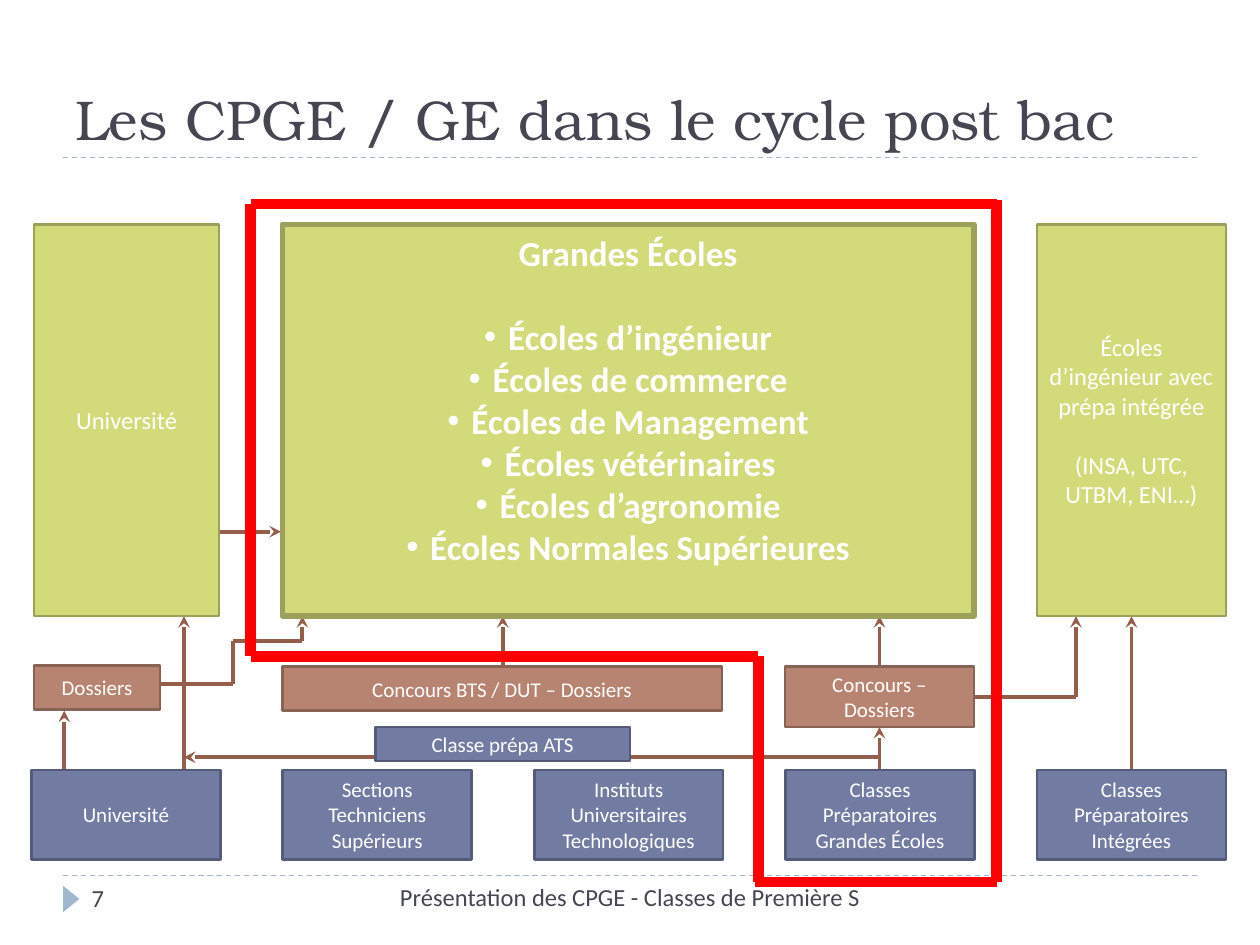
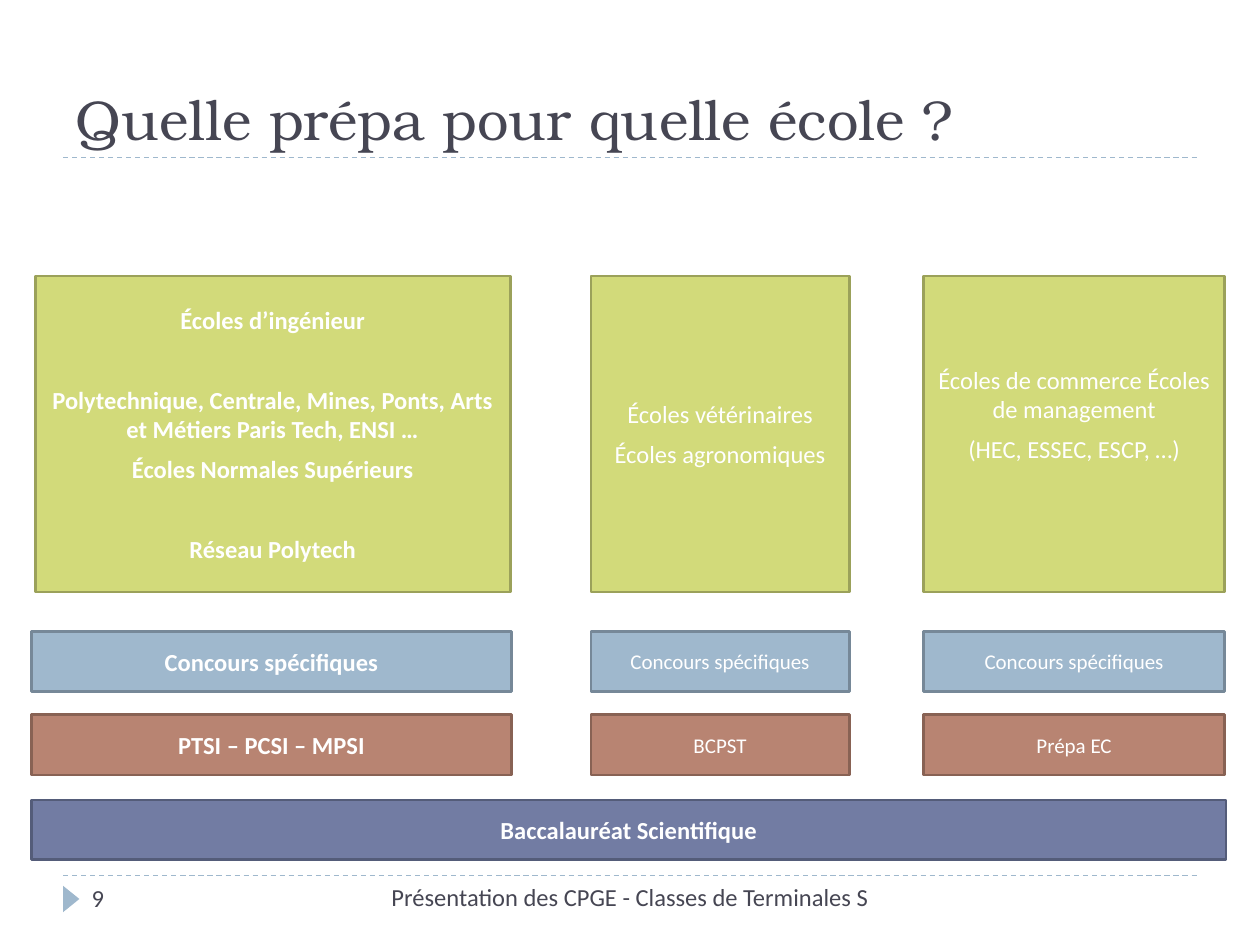
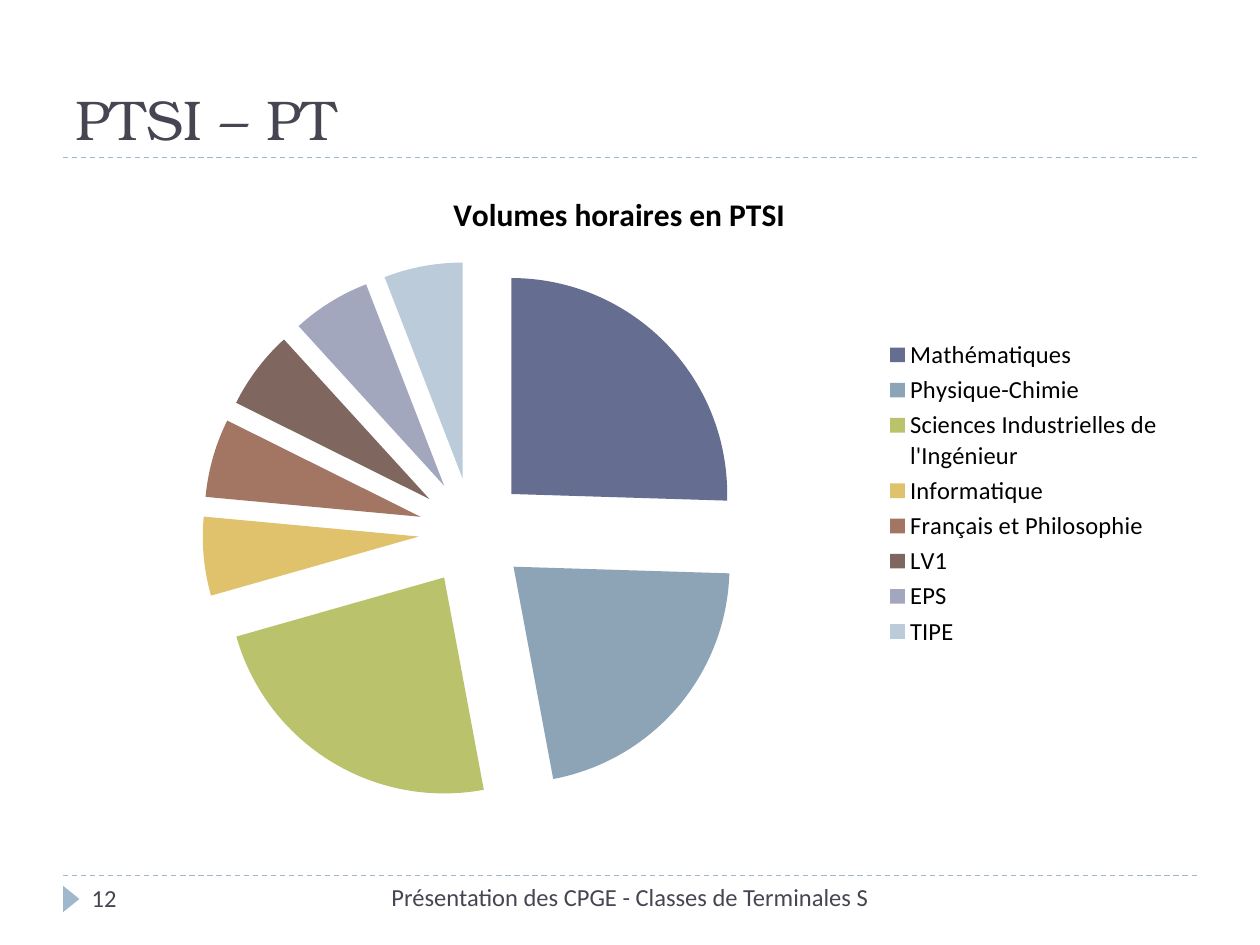
from lxml import etree
from pptx import Presentation
from pptx import util as u
from pptx.chart import data
from pptx.dml.color import RGBColor
from pptx.enum import chart as charts, dml, shapes, text
from pptx.oxml import ns

COLORS = {
    "ink": "464653", "white": "FFFFFF", "black": "000000", "red": "FF0000",
    "indigo": "727CA3", "indigo_edge": "545C79",
    "brick": "B88472", "brick_edge": "886254",
    "lime": "D2DA7A", "lime_edge": "9BA15A",
    "sky": "9FB8CD", "sky_edge": "768898",
    "arrow": "955E4B",
}
SLICES = ["656D90", "8DA3B6", "BAC26C", "DFC26B", "A37563", "7F665E", "A2A7BD", "BCCBDA"]
BODY, HEADING = "Calibri", "TeX Gyre Bonum"
ALIGN, ANCHOR = text.PP_ALIGN, text.MSO_ANCHOR
TERMINALES = "Présentation des CPGE - Classes de Terminales S"


def rgb(name):
    return RGBColor.from_string(COLORS[name])


def apply(target, **values):
    for key, value in values.items():
        setattr(target, key, value)


def set_font(font, size, color, name=BODY, bold=False):
    apply(font, size=u.Pt(size), name=name, bold=bold)
    font.color.rgb = rgb(color)


class Deck:
    def __init__(self):
        self.prs = Presentation()
        apply(self.prs, slide_width=u.Inches(10), slide_height=u.Inches(7.5))
        self.slide = None

    def page(self, title, footer, number):
        """Start a slide with its rules, marker, title and footer."""
        self.slide = self.prs.slides.add_slide(self.prs.slide_layouts[6])
        for y in (6.95, 1.25):
            self.line((0.5, y), (9.5, y), "sky", 0.75, dash=True)
        marker = self.shape((0.46, 7.07, 0.21, 0.13), "sky",
                            kind=shapes.MSO_SHAPE.ISOSCELES_TRIANGLE)
        marker.rotation = 90
        self.label((0.5, 0.17, 9, 1.08), title, 32, HEADING, anchor=ANCHOR.BOTTOM)
        self.label((2.64, 6.95, 4.72, 0.4), footer, align=ALIGN.CENTER)
        self.label((0.63, 6.96, 2.17, 0.4), number)

    def label(self, place, words, size=14, font=BODY, align=ALIGN.LEFT, anchor=ANCHOR.TOP):
        frame = self.slide.shapes.add_textbox(*map(u.Inches, place)).text_frame
        apply(frame, word_wrap=True, vertical_anchor=anchor)
        frame.text = words
        frame.paragraphs[0].alignment = align
        set_font(frame.paragraphs[0].font, size, "ink", font)

    def shape(self, place, color, kind=shapes.MSO_SHAPE.RECTANGLE):
        shape = self.slide.shapes.add_shape(kind, *map(u.Inches, place))
        shape.shadow.inherit = False
        shape.fill.solid()
        shape.fill.fore_color.rgb = rgb(color)
        shape.line.fill.background()
        return shape

    def box(self, place, color, lines, size=12, bold=False, edge=1.5,
            before=0, gaps=None, bullets_from=None, bottom=0.05):
        """Bordered box; gaps maps a line's index to its own space before, in points."""
        shape = self.shape(place, color)
        shape.line.color.rgb = rgb(color + "_edge")
        shape.line.width = u.Pt(edge)
        frame = shape.text_frame
        apply(frame, word_wrap=True, vertical_anchor=ANCHOR.MIDDLE,
              margin_bottom=u.Inches(bottom))
        frame.text = lines
        for i, paragraph in enumerate(frame.paragraphs):
            apply(paragraph, alignment=ALIGN.CENTER,
                  space_before=u.Pt((gaps or {}).get(i, before)))
            set_font(paragraph.font, size, "white", bold=bold)
            if bullets_from is not None and i >= bullets_from:
                self.bullet(paragraph)

    @staticmethod
    def bullet(paragraph):
        props = paragraph._p.get_or_add_pPr()
        props.set("marL", str(u.Inches(0.19)))
        props.set("indent", str(-u.Inches(0.19)))
        mark = etree.Element(ns.qn("a:buChar"), char="•")
        props.find(ns.qn("a:defRPr")).addprevious(mark)
        mark.addprevious(etree.Element(ns.qn("a:buFont"), typeface="Arial"))

    def line(self, start, end, color="arrow", width=2.25, arrow=False, dash=False):
        line = self.slide.shapes.add_connector(
            shapes.MSO_CONNECTOR.STRAIGHT, *map(u.Inches, start + end))
        line.line.color.rgb = rgb(color)
        line.line.width = u.Pt(width)
        if dash:
            line.line.dash_style = dml.MSO_LINE.DASH
        if arrow:
            etree.SubElement(line.line._get_or_add_ln(), ns.qn("a:tailEnd"), type="stealth")
        etree.SubElement(line._element.spPr, ns.qn("a:effectLst"))

    def route(self, *points, arrow=True, **style):
        """Join the points by lines, with an arrowhead on the last one."""
        for i, (start, end) in enumerate(zip(points, points[1:]), 2):
            self.line(start, end, arrow=arrow and i == len(points), **style)

    def pie(self, place, title, values, explosion):
        hours = data.CategoryChartData()
        hours.categories = list(values)
        hours.add_series("Series 1", list(values.values()))
        chart = self.slide.shapes.add_chart(
            charts.XL_CHART_TYPE.PIE, *map(u.Inches, place), hours).chart
        set_font(chart.font, 18, "black")
        chart.has_title = True
        chart.chart_title.text_frame.text = title
        heading = chart.chart_title.text_frame.paragraphs[0]
        set_font(heading.runs[0].font, 18, "black", bold=True)
        chart.has_legend = True
        apply(chart.legend, position=charts.XL_LEGEND_POSITION.RIGHT, include_in_layout=False)
        set_font(chart.legend.font, 14, "black")
        plot = chart.plots[0]
        plot.vary_by_categories = True
        series = plot.series[0]
        for i, color in enumerate(SLICES):
            fill = series.points[i].format.fill
            fill.solid()
            fill.fore_color.rgb = RGBColor.from_string(color)
        first_point = series._element.find(ns.qn("c:dPt"))
        first_point.addprevious(etree.Element(ns.qn("c:explosion"), val=str(explosion)))


def cycle_slide(deck):
    deck.page("Les CPGE / GE dans le cycle post bac",
              "Présentation des CPGE - Classes de Première S", "7")
    school_bottom, class_top = 4.89, 6.11
    for x, start, end in [(0.51, class_top, 5.64), (8.98, class_top, school_bottom),
                          (6.98, class_top, 5.77), (6.98, 5.29, school_bottom),
                          (3.99, 5.29, school_bottom), (1.46, class_top, school_bottom)]:
        deck.route((x, start), (x, end))
    deck.route((7.73, 5.53), (8.54, 5.53), (8.54, school_bottom))
    deck.route((6.98, 6.01), (1.46, 6.01))
    deck.route((1.74, 4.22), (2.23, 4.22))
    deck.route((1.27, 5.43), (1.85, 5.43), (1.85, 5.09), (2.4, 5.09), (2.4, school_bottom))

    classes = ["Université", "Sections Techniciens Supérieurs",
               "Instituts Universitaires Technologiques",
               "Classes Préparatoires Grandes Écoles", "Classes Préparatoires Intégrées"]
    for i, name in enumerate(classes):
        deck.box((0.25 + 1.995 * i, class_top, 1.5, 0.71), "indigo", name)
    deck.box((2.98, 5.77, 2.02, 0.27), "indigo", "Classe prépa ATS")

    deck.box((0.27, 5.28, 1, 0.35), "brick", "Dossiers")
    deck.box((2.24, 5.29, 3.49, 0.35), "brick", "Concours BTS / DUT – Dossiers")
    deck.box((6.23, 5.29, 1.5, 0.48), "brick", "Concours – Dossiers")

    deck.box((0.27, 1.78, 1.47, 3.11), "lime", "Université", 14)
    deck.box((2.24, 1.78, 5.49, 3.11), "lime",
             "Grandes Écoles\nÉcoles d’ingénieur\nÉcoles de commerce\nÉcoles de Management\n"
             "Écoles vétérinaires\nÉcoles d’agronomie\nÉcoles Normales Supérieures",
             20, bold=True, edge=3, gaps={1: 24}, bullets_from=1, bottom=0.38)
    deck.box((8.23, 1.78, 1.5, 3.11), "lime",
             "Écoles d’ingénieur avec prépa intégrée\n(INSA, UTC, UTBM, ENI…)",
             14, gaps={1: 17})

    for start, end in [((1.99, 1.62), (1.99, 5.21)), ((1.99, 1.62), (7.91, 1.62)),
                       ((1.99, 5.21), (6.02, 5.21)), ((6.02, 7), (6.02, 5.21)),
                       ((7.91, 7), (7.91, 1.59)), ((7.91, 7), (5.99, 7))]:
        deck.line(start, end, "red", 6)


def schools_slide(deck):
    deck.page("Quelle prépa pour quelle école ?", TERMINALES, "9")
    deck.box((0.25, 6.35, 9.48, 0.47), "indigo", "Baccalauréat Scientifique", 14, bold=True)
    tracks = [
        (0.25, 3.81, "PTSI – PCSI – MPSI", dict(size=14, bold=True)),
        (4.69, 2.05, "BCPST", {}),
        (7.33, 2.39, "Prépa EC", {}),
    ]
    for left, width, prepa, style in tracks:
        deck.box((left, 5.67, width, 0.48), "brick", prepa, **style)
        deck.box((left, 5.01, width, 0.48), "sky", "Concours spécifiques", **style)
    schools = [
        (0.28, 3.77, "Écoles d’ingénieur\nPolytechnique, Centrale, Mines, Ponts, Arts et Métiers "
         "Paris Tech, ENSI …\nÉcoles Normales Supérieurs\nRéseau Polytech",
         dict(bold=True, gaps={1: 29, 3: 29})),
        (4.69, 2.05, "Écoles vétérinaires\nÉcoles agronomiques", {}),
        (7.33, 2.39, "Écoles de commerce Écoles de management\n(HEC, ESSEC, ESCP, …)",
         dict(bottom=0.37)),
    ]
    for left, width, names, style in schools:
        deck.box((left, 2.19, width, 2.51), "lime", names, 14, before=6, **style)


def hours_slide(deck):
    deck.page("PTSI – PT", TERMINALES, "12")
    hours = {"Mathématiques": 26, "Physique-Chimie": 22,
             "Sciences Industrielles de l'Ingénieur": 24, "Informatique": 6,
             "Français et Philosophie": 6, "LV1": 6, "EPS": 6, "TIPE": 6}
    deck.pie((0.5, 1.33, 8.83, 5.17), "Volumes horaires en PTSI", hours, 25)


def main():
    deck = Deck()
    cycle_slide(deck)
    schools_slide(deck)
    hours_slide(deck)
    deck.prs.save("out.pptx")


if __name__ == "__main__":
    main()
